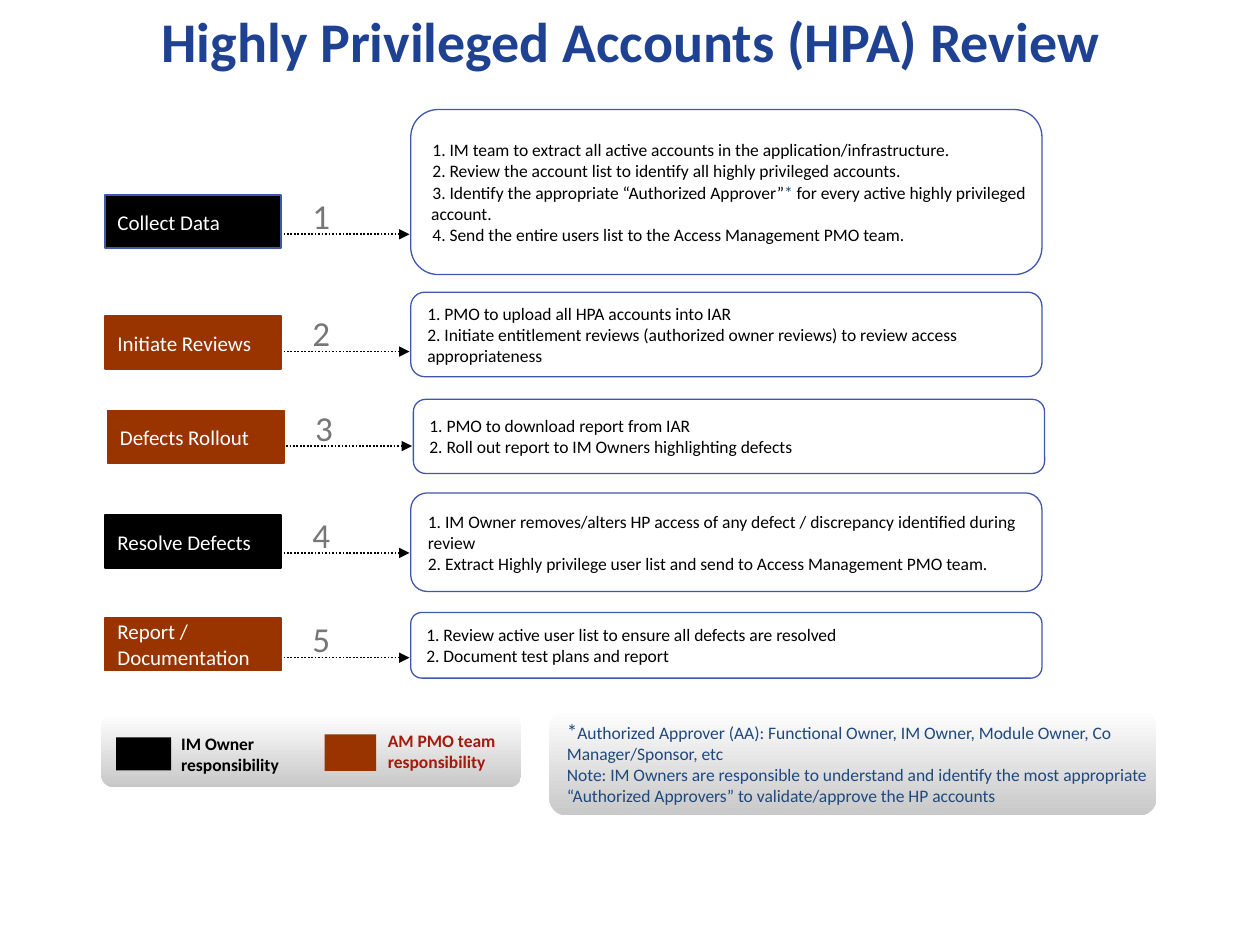
from lxml.etree import SubElement
from pptx import Presentation
from pptx.dml.color import RGBColor
from pptx.enum.dml import MSO_LINE
from pptx.enum.shapes import MSO_CONNECTOR, MSO_SHAPE
from pptx.enum.text import MSO_ANCHOR, PP_ALIGN
from pptx.oxml.ns import qn
from pptx.util import Pt

COLORS = {"black": "000000", "white": "FFFFFF", "rust": "993300", "blue": "4157AD",
          "navy": "1E4191", "note": "1F497D", "red": "A41A0C", "gray": "777777",
          "shade": "C8C8C8"}


class Deck:
    """Builds slide elements in one style, with lengths in points."""

    def __init__(self, width, height, font="Calibri"):
        self.prs = Presentation()
        self.prs.slide_width, self.prs.slide_height = Pt(width), Pt(height)
        self.s = self.prs.slides.add_slide(self.prs.slide_layouts[6])
        self.font = font

    def color(self, name):
        return RGBColor.from_string(COLORS[name])

    def set_text(self, sp, paragraphs, size, color, bold=False, align=PP_ALIGN.LEFT,
                 anchor=MSO_ANCHOR.MIDDLE, insets=(7.2, 0, 0, 0), spacing=None, numbered=False):
        tf = sp.text_frame
        tf.word_wrap, tf.vertical_anchor = True, anchor
        tf.margin_left, tf.margin_top, tf.margin_right, tf.margin_bottom = map(Pt, insets)
        for i, runs in enumerate(paragraphs):
            p = tf.paragraphs[0] if i == 0 else tf.add_paragraph()
            p.alignment = align
            p.font.name, p.font.size, p.font.bold = self.font, Pt(size), bold
            p.font.color.rgb = self.color(color)
            if spacing:
                p.line_spacing = spacing
            if numbered:
                pPr = p._p.get_or_add_pPr()
                pPr.set("marL", "0")
                pPr.set("indent", str(Pt(0.72)))
                bullet = pPr.makeelement(qn("a:buAutoNum"), {"type": "arabicPeriod"})
                pPr.insert(0, bullet)
            for run in [(runs,)] if isinstance(runs, str) else runs:
                text, run_color, run_size = (*run, None, None)[:3]
                r = p.add_run()
                r.text = text
                if run_color:
                    r.font.color.rgb = self.color(run_color)
                if run_size:
                    r.font.size = Pt(run_size)

    def text(self, x, y, w, h, paragraphs, size, color, **style):
        sp = self.s.shapes.add_textbox(*map(Pt, (x, y, w, h)))
        self.set_text(sp, paragraphs, size, color, **style)

    def shape(self, kind, x, y, w, h, fill=None, line=None, weight=1):
        sp = self.s.shapes.add_shape(kind, *map(Pt, (x, y, w, h)))
        sp.shadow.inherit = False
        if fill:
            sp.fill.solid()
            sp.fill.fore_color.rgb = self.color(fill)
        else:
            sp.fill.background()
        if line:
            sp.line.color.rgb = self.color(line)
            sp.line.width = Pt(weight)
        else:
            sp.line.fill.background()
        return sp

    def panel(self, x, y, w, h):
        sp = self.shape(MSO_SHAPE.FLOWCHART_ALTERNATE_PROCESS, x, y, w, h)
        sp.fill.gradient()
        sp.fill.gradient_angle = 270
        for stop, name, position in zip(sp.fill.gradient_stops, ("white", "shade"), (0, 1)):
            stop.color.rgb = self.color(name)
            stop.position = position
        return sp

    def arrow(self, x1, x2, y):
        c = self.s.shapes.add_connector(MSO_CONNECTOR.STRAIGHT, *map(Pt, (x1, y, x2, y)))
        c.line.color.rgb = self.color("black")
        c.line.width = Pt(1)
        c.line.dash_style = MSO_LINE.ROUND_DOT
        SubElement(c.line._get_or_add_ln(), qn("a:tailEnd"), type="triangle")
        SubElement(c._element.spPr, qn("a:effectLst"))

    def step(self, number, label, fill, border, label_y, arrow_y, box_y, box_h, lines,
             dx=0, numbered=False):
        sp = self.shape(MSO_SHAPE.FLOWCHART_PROCESS, 60 + dx, label_y, 100.8, 30.2, fill, border)
        self.set_text(sp, [label], 12, "white")
        sp = self.shape(MSO_SHAPE.ROUNDED_RECTANGLE, 234.7 + dx, box_y, 360.7, box_h,
                        line="blue", weight=0.75)
        self.set_text(sp, lines, 10, "black", numbered=numbered)
        self.arrow(162 + dx, 234 + dx, arrow_y)
        self.text(171.4 + dx, arrow_y - 24.5, 35.3, 27.4, [str(number)], 20, "gray")


STEPS = [
    dict(label="Collect Data", fill="black", border="blue", label_y=111.6, arrow_y=133.9,
         box_y=62.6, box_h=94.3, numbered=True, lines=[
             " IM team to extract all active accounts in the application/infrastructure.",
             " Review the account list to identify all highly privileged accounts.",
             [(" Identify the appropriate “Authorized Approver”",), ("* ", "note"),
              ("for every active highly privileged account.",)],
             " Send the entire users list to the Access Management PMO team."]),
    dict(label="Initiate Reviews", fill="rust", border="rust", label_y=180.7, arrow_y=200.9,
         box_y=167, box_h=48.3, lines=[
             "1. PMO to upload all HPA accounts into IAR",
             "2. Initiate entitlement reviews (authorized owner reviews) to review access "
             "appropriateness"]),
    dict(label="Defects Rollout", fill="rust", border="rust", label_y=234.5, arrow_y=254.9,
         box_y=228.2, box_h=42.4, dx=1.5, lines=[
             "1. PMO to download report from IAR",
             "2. Roll out report to IM Owners highlighting defects"]),
    dict(label="Resolve Defects", fill="black", border="black", label_y=294.5, arrow_y=316,
         box_y=281.7, box_h=56.3, lines=[
             "1. IM Owner removes/alters HP access of any defect / discrepancy identified "
             "during review",
             "2. Extract Highly privilege user list and send to Access Management PMO team."]),
    dict(label="Report / Documentation", fill="rust", border="rust", label_y=353, arrow_y=375.8,
         box_y=350, box_h=37.5, lines=[
             "1. Review active user list to ensure all defects are resolved",
             "2. Document test plans and report"]),
]

LEGEND = [
    ((66.4, 421.4, 31.5, 18.9), "black", (96.5, 415.4, 83.5, 31.7),
     "IM Owner responsibility", "black"),
    ((185.5, 419.6, 29.5, 20.9), "rust", (214.6, 413.5, 86.4, 30.2),
     "AM PMO team responsibility", "red"),
]

deck = Deck(720, 540)
deck.text(27.4, 7.9, 666, 43.9, ["Highly Privileged Accounts (HPA) Review"], 32, "navy",
          bold=True, align=PP_ALIGN.CENTER, anchor=MSO_ANCHOR.TOP, insets=(0, 0, 0, 0),
          spacing=0.9)

for number, step in enumerate(STEPS, 1):
    deck.step(number, **step)

deck.panel(58, 407.7, 239.8, 42)
for swatch, fill, place, caption, color in LEGEND:
    deck.shape(MSO_SHAPE.RECTANGLE, *swatch, fill=fill)
    deck.text(*place, [caption], 10, color, bold=True, anchor=MSO_ANCHOR.TOP,
              insets=(7.2, 3.6, 7.2, 3.6))

note = deck.panel(313.9, 405.4, 347, 60.5)
deck.set_text(note, [
    [("*", "note", 12), ("Authorized Approver (AA): Functional Owner, IM Owner, Module Owner, "
                         "Co Manager/Sponsor, etc",)],
    "Note: IM Owners are responsible to understand and identify the most appropriate "
    "“Authorized Approvers” to validate/approve the HP accounts"], 10, "note")

deck.prs.save("out.pptx")
